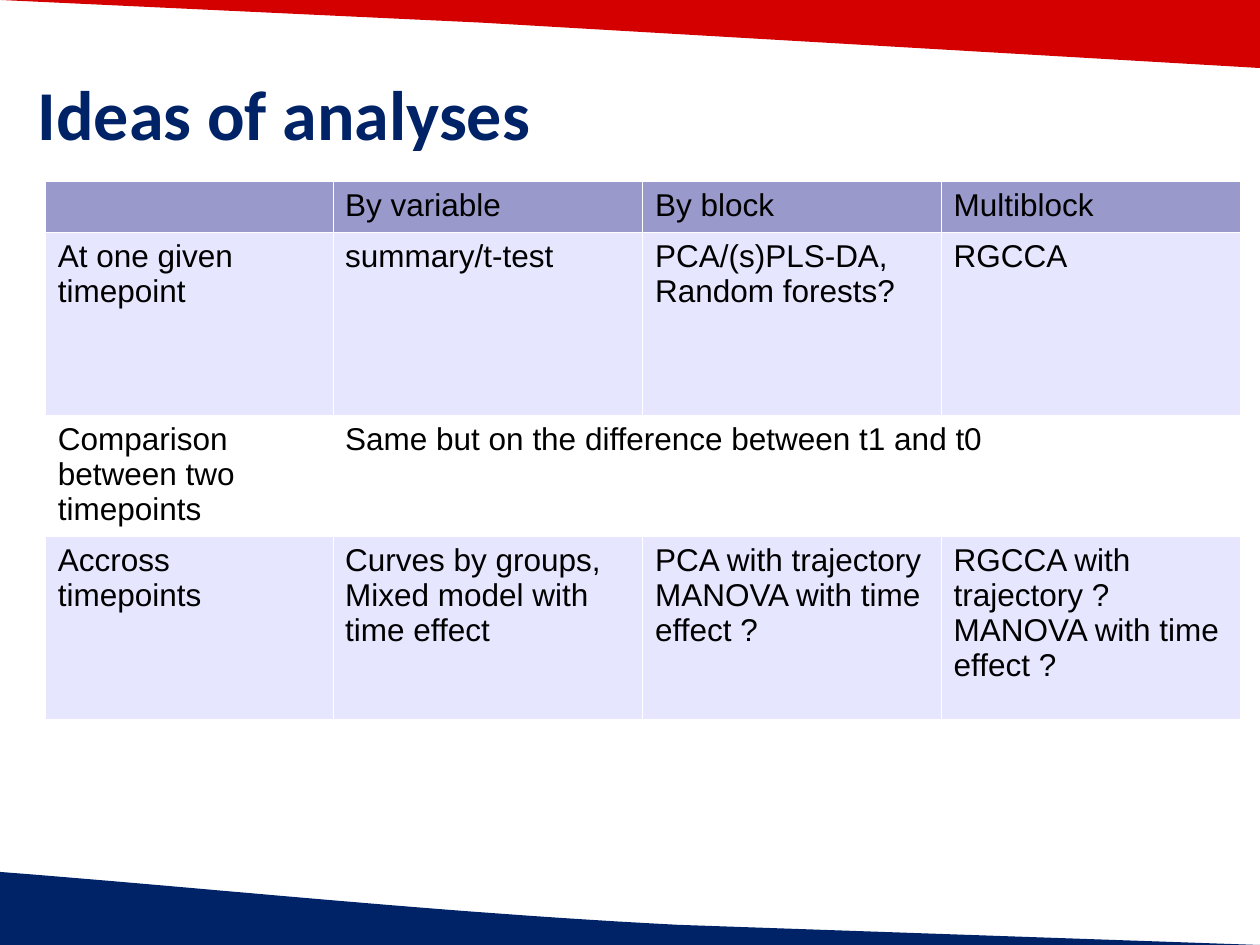
from dataclasses import dataclass

from lxml import etree
from pptx import Presentation
from pptx import util as u
from pptx.dml.color import RGBColor
from pptx.enum import text
from pptx.oxml import ns


@dataclass(frozen=True)
class Theme:
    navy: str = "002266"
    red: str = "D40000"
    header: str = "9999CC"
    band: str = "E6E6FF"
    white: str = "FFFFFF"
    black: str = "000000"
    title_font: str = "Calibri"
    body_font: str = "Arial"
    title_size: int = 40
    body_size: int = 18
    border_width: float = 0.06


THEME = Theme()
WIDTH, HEIGHT = u.Inches(10), u.Inches(7.5)
COLUMNS = (2.28, 2.46, 2.37, 2.37)
ROWS = (0.39, 1.45, 0.96, 1.45)
ROW_FILLS = (THEME.header, THEME.band, THEME.white, THEME.band)
CELLS = (
    ("", "By variable", "By block", "Multiblock"),
    ("At one given timepoint", "summary/t-test",
     "PCA/(s)PLS-DA,\nRandom forests?", "RGCCA"),
    ("Comparison between two timepoints",
     "Same but on the difference between t1 and t0", "", ""),
    ("Accross timepoints", "Curves by groups,\nMixed model with time effect",
     "PCA with trajectory\nMANOVA with time effect ?",
     "RGCCA with trajectory ?\nMANOVA with time effect ?"),
)


def write(frame, content, *, font, size, color, bold=False, spacing=None):
    frame.text = content
    for para in frame.paragraphs:
        para.alignment = text.PP_ALIGN.LEFT
        para.line_spacing = spacing
        for span in para.runs:
            span.font.name = font
            span.font.size = u.Pt(size)
            span.font.bold = bold
            span.font.color.rgb = RGBColor.from_string(color)


def curve(start, first, second, end, steps=24):
    for step in range(steps + 1):
        t = step / steps
        weights = ((1 - t) ** 3, 3 * t * (1 - t) ** 2, 3 * t * t * (1 - t), t ** 3)
        yield tuple(sum(w * point[axis] for w, point in
                        zip(weights, (start, first, second, end)))
                    for axis in (0, 1))


def add_wave(page, points, color):
    corners = [(u.Inches(x), u.Inches(y)) for x, y in points]
    builder = page.shapes.build_freeform(*corners[0])
    builder.add_line_segments(corners[1:], close=True)
    wave = builder.convert_to_shape()
    wave.shadow.inherit = False
    wave.fill.solid()
    wave.fill.fore_color.rgb = RGBColor.from_string(color)
    wave.line.fill.background()


def add_title(page, content):
    box = page.shapes.title
    box.left, box.top = int(WIDTH * 0.02), int(HEIGHT * 0.07)
    box.width, box.height = int(WIDTH * 0.86), int(HEIGHT * 0.11)
    frame = box.text_frame
    frame.word_wrap = True
    frame.auto_size = text.MSO_AUTO_SIZE.NONE
    frame.vertical_anchor = text.MSO_ANCHOR.MIDDLE
    write(frame, content, font=THEME.title_font, size=THEME.title_size,
          color=THEME.navy, bold=True, spacing=0.9)


def add_borders(cell):
    properties = cell._tc.get_or_add_tcPr()
    for index, side in enumerate(("lnL", "lnR", "lnT", "lnB")):
        border = etree.Element(ns.qn(f"a:{side}"), w=str(u.Pt(THEME.border_width)))
        fill = etree.SubElement(border, ns.qn("a:solidFill"))
        etree.SubElement(fill, ns.qn("a:srgbClr"), val=THEME.white)
        properties.insert(index, border)


def add_analysis_table(page):
    table = page.shapes.add_table(
        len(ROWS), len(COLUMNS), u.Inches(0.36), u.Inches(1.44),
        u.Inches(sum(COLUMNS)), u.Inches(sum(ROWS))).table
    for column, width in zip(table.columns, COLUMNS):
        column.width = u.Inches(width)
    for row, height, color, contents in zip(table.rows, ROWS, ROW_FILLS, CELLS):
        row.height = u.Inches(height)
        for cell, content in zip(row.cells, contents):
            cell.fill.solid()
            cell.fill.fore_color.rgb = RGBColor.from_string(color)
            add_borders(cell)
            write(cell.text_frame, content, font=THEME.body_font,
                  size=THEME.body_size, color=THEME.black)
    table.cell(2, 1).merge(table.cell(2, 3))


def main():
    deck = Presentation()
    deck.slide_width, deck.slide_height = WIDTH, HEIGHT
    page = deck.slides.add_slide(deck.slide_layouts[5])
    bottom_edge = curve((0, 6.92), (1.79, 7.06), (3.45, 7.24), (5.38, 7.34))
    add_wave(page, [*bottom_edge, (10, 7.5), (0, 7.5)], THEME.navy)
    add_wave(page, [(0, 0), (10, 0), (10, 0.54), (3.82, 0.18)], THEME.red)
    add_title(page, "Ideas of analyses")
    add_analysis_table(page)
    deck.save("out.pptx")


if __name__ == "__main__":
    main()
